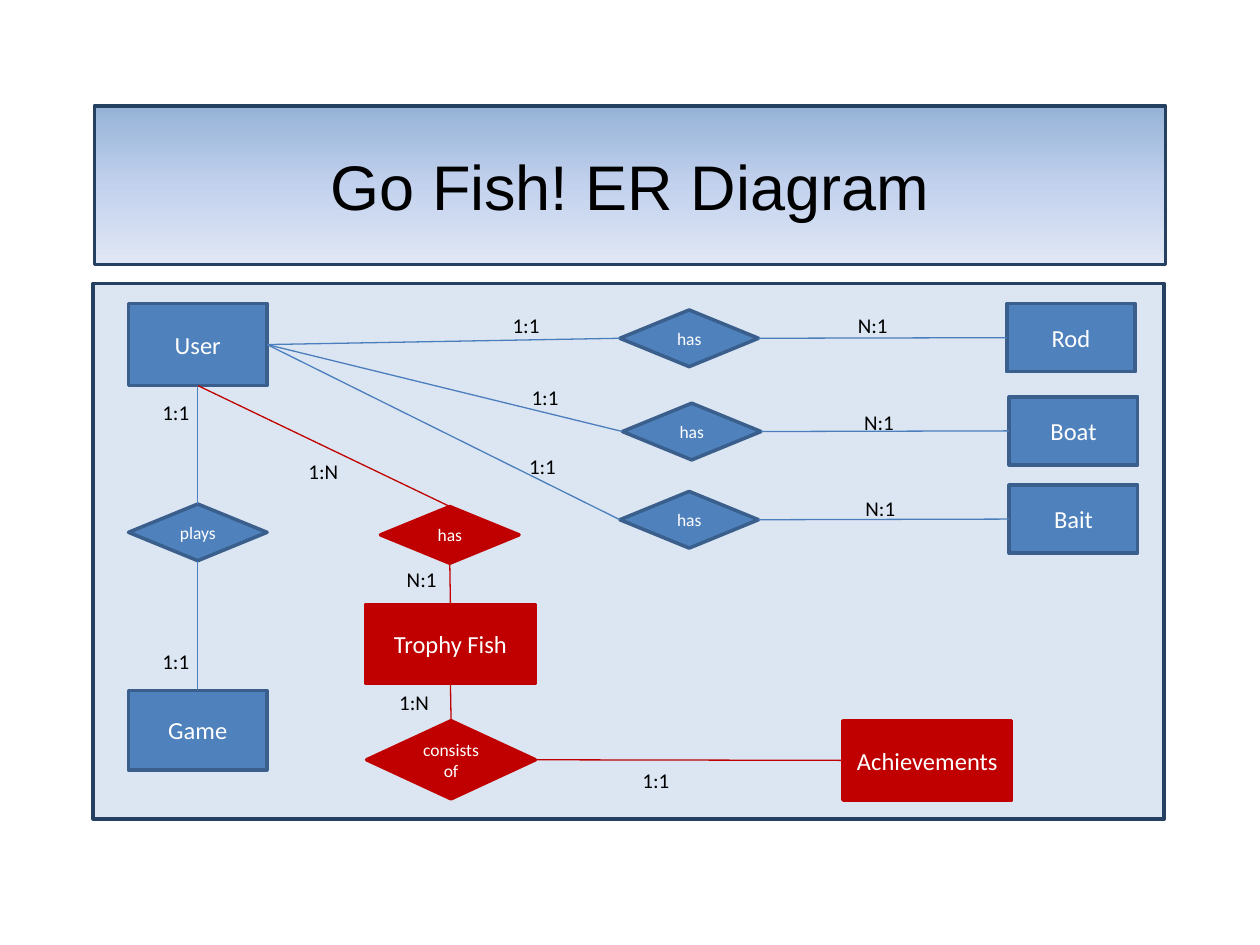
"""Builds the Go Fish! entity-relationship diagram slide."""
from copy import deepcopy
from pptx import Presentation
from pptx.dml.color import RGBColor
from pptx.enum.shapes import MSO_CONNECTOR, MSO_SHAPE
from pptx.enum.text import MSO_ANCHOR, PP_ALIGN
from pptx.oxml.ns import qn
from pptx.oxml.xmlchemy import OxmlElement
from pptx.util import Inches, Pt

THEME = {
    "panel": "DCE6F2", "frame": "254061", "white": "FFFFFF", "black": "000000",
    "title_stops": [(0, "95B3D7"), (0.5, "C2D1ED"), (1, "E1E8F5")],
    "blue": {"fill": "4F81BD", "border": "3A5F8C", "link": "4B7EBC"},
    "red": {"fill": "C00000", "border": "C00000", "link": "C00000"},
    "title": 36, "entity": 14, "label": 12, "relation": 10,
    "border_width": 2, "link_width": 0.75,
    "cell_borders": {"a:lnL": 1, "a:lnR": 1, "a:lnT": 1, "a:lnB": 3},
}
TOP, LEFT, BOTTOM, RIGHT = range(4)


def add_box(kind, box, fill, border):
    sp = s.shapes.add_shape(kind, *map(Inches, box))
    sp.shadow.inherit = False
    sp.fill.solid()
    sp.fill.fore_color.rgb = RGBColor.from_string(fill)
    sp.line.color.rgb = RGBColor.from_string(border)
    sp.line.width = Pt(THEME["border_width"])
    return sp


def write(sp, text, size, color, font="Calibri", align=PP_ALIGN.CENTER):
    p = sp.text_frame.paragraphs[0]
    p.alignment = align
    r = p.add_run()
    r.text = text
    for name, value in {"name": font, "size": Pt(THEME[size])}.items():
        setattr(r.font, name, value)
    r.font.color.rgb = RGBColor.from_string(THEME[color])


prs = Presentation()
prs.slide_width, prs.slide_height = Inches(10), Inches(7.5)
s = prs.slides.add_slide(prs.slide_layouts[6])

add_box(MSO_SHAPE.RECTANGLE, (0.74, 2.25, 8.5, 4.25), THEME["panel"], THEME["frame"])
title = add_box(MSO_SHAPE.RECTANGLE, (0.75, 0.84, 8.5, 1.26), THEME["white"], THEME["frame"])
title.fill.gradient()
title.fill.gradient_angle = 270
stops = title._element.spPr.find(".//" + qn("a:gsLst"))
stops.insert(1, deepcopy(stops[0]))
for stop, (position, color) in zip(title.fill.gradient_stops, THEME["title_stops"]):
    stop.position = position
    stop.color.rgb = RGBColor.from_string(color)
title.text_frame.vertical_anchor = MSO_ANCHOR.MIDDLE
write(title, "Go Fish! ER Diagram", "title", "black", "Arial")

footer = s.shapes.add_table(1, 1, Inches(0.75), Inches(6.58), Inches(8.5), Inches(0.41))
cell = footer.table.cell(0, 0)
props = cell._tc.get_or_add_tcPr()
for tag, width in THEME["cell_borders"].items():
    ln = OxmlElement(tag)
    ln.set("w", str(Pt(width)))
    paint = OxmlElement("a:solidFill")
    color = OxmlElement("a:srgbClr")
    color.set("val", THEME["white"])
    paint.append(color)
    ln.append(paint)
    props.append(ln)
cell.fill.solid()
cell.fill.fore_color.rgb = RGBColor.from_string(THEME["white"])

ENTITY, RELATION = MSO_SHAPE.RECTANGLE, MSO_SHAPE.FLOWCHART_DECISION
nodes = {}
for key, text, kind, tone, box in [
    ("user", "User", ENTITY, "blue", (1.02, 2.41, 1.1, 0.65)),
    ("game", "Game", ENTITY, "blue", (1.02, 5.48, 1.1, 0.63)),
    ("achievements", "Achievements", ENTITY, "red", (6.69, 5.72, 1.34, 0.63)),
    ("trophy", "Trophy Fish", ENTITY, "red", (2.9, 4.8, 1.35, 0.62)),
    ("rod", "Rod", ENTITY, "blue", (7.99, 2.41, 1.02, 0.54)),
    ("boat", "Boat", ENTITY, "blue", (8.01, 3.15, 1.02, 0.54)),
    ("bait", "Bait", ENTITY, "blue", (8.01, 3.85, 1.02, 0.54)),
    ("has_rod", "has", RELATION, "blue", (4.92, 2.46, 1.1, 0.45)),
    ("has_boat", "has", RELATION, "blue", (4.94, 3.2, 1.1, 0.45)),
    ("has_bait", "has", RELATION, "blue", (4.92, 3.9, 1.1, 0.45)),
    ("plays", "plays", RELATION, "blue", (1.02, 4, 1.1, 0.45)),
    ("has_trophy", "has", RELATION, "red", (3.02, 4.02, 1.1, 0.45)),
    ("consists", "consists of", RELATION, "red", (2.91, 5.72, 1.34, 0.62)),
]:
    sp = add_box(kind, box, THEME[tone]["fill"], THEME[tone]["border"])
    sp.text_frame.word_wrap = True
    sp.text_frame.vertical_anchor = MSO_ANCHOR.MIDDLE
    write(sp, text, "entity" if kind == ENTITY else "relation", "white")
    nodes[key] = sp

links = [
    ("user", BOTTOM, "plays", TOP, "blue"),
    ("plays", BOTTOM, "game", TOP, "blue"),
    ("user", BOTTOM, "has_trophy", TOP, "red"),
    ("has_trophy", BOTTOM, "trophy", TOP, "red"),
    ("achievements", LEFT, "consists", RIGHT, "red"),
    ("consists", TOP, "trophy", BOTTOM, "red"),
]
for gear in ("rod", "boat", "bait"):
    links.append(("user", RIGHT, f"has_{gear}", LEFT, "blue"))
    links.append((f"has_{gear}", RIGHT, gear, LEFT, "blue"))
for start, start_site, end, end_site, tone in links:
    link = s.shapes.add_connector(MSO_CONNECTOR.STRAIGHT, 0, 0, 0, 0)
    link.begin_connect(nodes[start], start_site)
    link.end_connect(nodes[end], end_site)
    link.line.color.rgb = RGBColor.from_string(THEME[tone]["link"])
    link.line.width = Pt(THEME["link_width"])
    link._element.spPr.append(OxmlElement("a:effectLst"))

for text, width, places in [
    ("1:1", 0.42, [(1.19, 3.12), (1.19, 5.1), (5, 6.04), (3.97, 2.43), (4.12, 3), (4.1, 3.55)]),
    ("1:N", 0.44, [(3.07, 5.42), (2.35, 3.59)]),
    ("N:1", 0.44, [(6.71, 2.43), (3.13, 4.45), (6.76, 3.2), (6.77, 3.88)]),
]:
    for left, top in places:
        label = s.shapes.add_textbox(Inches(left), Inches(top), Inches(width), Inches(0.3))
        label.text_frame.word_wrap = False
        write(label, text, "label", "black", align=PP_ALIGN.LEFT)

prs.save("out.pptx")
